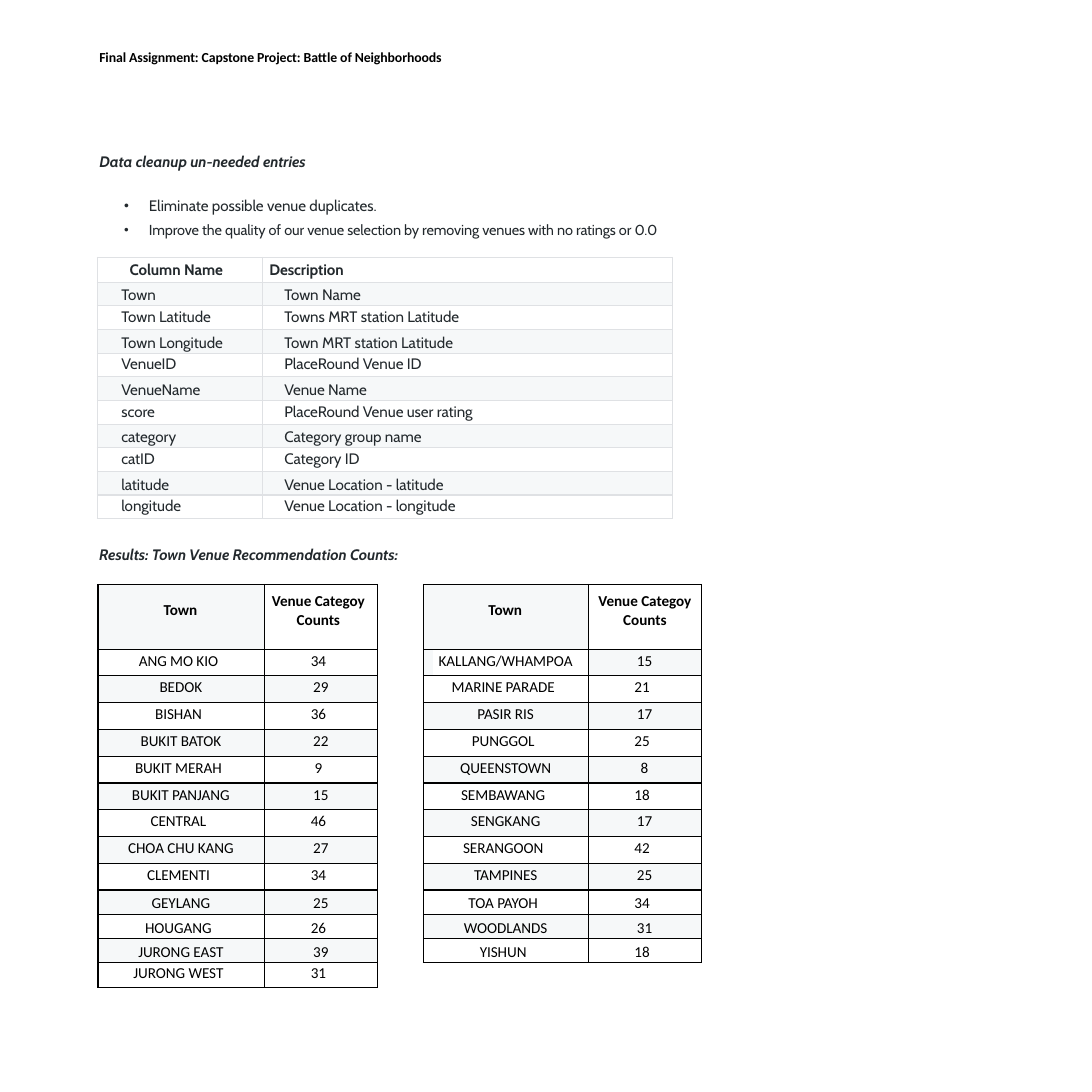
from lxml.etree import SubElement
from pptx import Presentation
from pptx.dml.color import RGBColor
from pptx.enum.text import MSO_ANCHOR, MSO_AUTO_SIZE, PP_ALIGN
from pptx.oxml.ns import qn
from pptx.util import Pt

BLACK = RGBColor(0x00, 0x00, 0x00)
INK = RGBColor(0x23, 0x29, 0x2D)
GRID = RGBColor(0xDF, 0xE1, 0xE4)
BAND = RGBColor(0xF6, 0xF8, 0xF9)
WHITE = RGBColor(0xFF, 0xFF, 0xFF)

HEADER = "Final Assignment: Capstone Project: Battle of Neighborhoods"
CLEANUP_HEADING = "Data cleanup un-needed entries"
CLEANUP_STEPS = [
    ("Eliminate possible venue duplicates.", 11, 18.5),
    ("Improve the quality of our venue selection by removing venues "
     "with no ratings or 0.0", 10.5, 4.7),
]
RESULTS_HEADING = "Results: Town Venue Recommendation Counts:"
COLUMN_DESCRIPTIONS = [
    ("Column Name", "Description"),
    ("Town", "Town Name"),
    ("Town Latitude", "Towns MRT station Latitude"),
    ("Town Longitude", "Town MRT station Latitude"),
    ("VenueID", "PlaceRound Venue ID"),
    ("VenueName", "Venue Name"),
    ("score", "PlaceRound Venue user rating"),
    ("category", "Category group name"),
    ("catID", "Category ID"),
    ("latitude", "Venue Location - latitude"),
    ("longitude", "Venue Location - longitude"),
]
COUNT_HEADINGS = [("Town", "Venue Categoy"), ("", "Counts")]
LEFT_COUNTS = [
    ("ANG MO KIO", 34), ("BEDOK", 29), ("BISHAN", 36), ("BUKIT BATOK", 22),
    ("BUKIT MERAH", 9), ("BUKIT PANJANG", 15), ("CENTRAL", 46),
    ("CHOA CHU KANG", 27), ("CLEMENTI", 34), ("GEYLANG", 25),
    ("HOUGANG", 26), ("JURONG EAST", 39), ("JURONG WEST", 31),
]
RIGHT_COUNTS = [
    ("KALLANG/WHAMPOA", 15), ("MARINE PARADE", 21), ("PASIR RIS", 17),
    ("PUNGGOL", 25), ("QUEENSTOWN", 8), ("SEMBAWANG", 18),
    ("SENGKANG", 17), ("SERANGOON", 42), ("TAMPINES", 25),
    ("TOA PAYOH", 34), ("WOODLANDS", 31), ("YISHUN", 18),
]
TEXT_LEFT = 72
COUNTS_TOP = 423.8
TALL_ROWS = 9
GUTTER = 6.5


def add_run(paragraph, text, size, font, color, bold=False, italic=False):
    run = paragraph.add_run()
    run.text = text
    run.font.size = Pt(size)
    run.font.name = font
    run.font.color.rgb = color
    run.font.bold = bold
    run.font.italic = italic
    run.font._element.set("spc", "-5")


def prepare_frame(shape, top, width, height):
    shape.left, shape.top = Pt(TEXT_LEFT), Pt(top)
    shape.width, shape.height = Pt(width), Pt(height)
    frame = shape.text_frame
    frame.margin_left = frame.margin_right = frame.margin_bottom = 0
    frame.margin_top = Pt(0.9)
    frame.word_wrap = True
    frame.auto_size = MSO_AUTO_SIZE.NONE
    frame.vertical_anchor = MSO_ANCHOR.TOP
    return frame


def set_bullet(paragraph, bullet=None):
    properties = paragraph._p.get_or_add_pPr()
    properties.set("marL", str(Pt(36) if bullet else 0))
    properties.set("indent", str(Pt(-18) if bullet else 0))
    if bullet:
        SubElement(properties, qn("a:buSzPct"), val="91000")
        SubElement(properties, qn("a:buChar"), char=bullet)
    else:
        SubElement(properties, qn("a:buNone"))


def add_grid(slide, left, top, widths, heights):
    table = slide.shapes.add_table(
        len(heights), len(widths), Pt(left), Pt(top),
        Pt(sum(widths)), Pt(sum(heights))).table
    table.first_row = table.horz_banding = False
    for column, width in zip(table.columns, widths):
        column.width = Pt(width)
    for row, height in zip(table.rows, heights):
        row.height = Pt(height)
    return table


def fill_cell(cell, text, font, color, border, banded, margins,
              bold=False, align=PP_ALIGN.LEFT, sides="LRTB"):
    properties = cell._tc.get_or_add_tcPr()
    for side in "LRTB":
        line = SubElement(properties, qn(f"a:ln{side}"), w=str(Pt(1)))
        if side in sides:
            fill = SubElement(line, qn("a:solidFill"))
            SubElement(fill, qn("a:srgbClr"), val=str(border))
        else:
            SubElement(line, qn("a:noFill"))
    cell.fill.solid()
    cell.fill.fore_color.rgb = BAND if banded else WHITE
    left, top, right = margins
    cell.margin_left, cell.margin_top = Pt(left), Pt(top)
    cell.margin_right, cell.margin_bottom = Pt(right), 0
    paragraph = cell.text_frame.paragraphs[0]
    paragraph.alignment = align
    if text:
        add_run(paragraph, text, 11, font, color, bold)
    else:
        SubElement(paragraph._p, qn("a:endParaRPr"), sz="800")
    return paragraph


def add_descriptions(slide):
    heights = [18] + [17.15] * (len(COLUMN_DESCRIPTIONS) - 1)
    table = add_grid(slide, 70.7, 186.7, (119.7, 297.2), heights)
    for row, texts in enumerate(COLUMN_DESCRIPTIONS):
        banded = row % 2 == 1
        indents = (17.3, 15.8) if row else (23.3, 5)
        top = 2.3 if row == 0 else 2.9 if banded else 1.4
        for column, text in enumerate(texts):
            fill_cell(table.cell(row, column), text, "Cabin", INK, GRID,
                      banded, (indents[column], top, 0), bold=row == 0)


def add_counts(slide, left, counts, widths, first_band, heading_shift):
    heights = [20.9, 26.1] + [19.43] * TALL_ROWS
    heights += [17.62] * (len(counts) - TALL_ROWS)
    table = add_grid(slide, left, COUNTS_TOP, widths, heights)
    gutter_columns = len(widths) - 2
    offset = GUTTER * gutter_columns

    def put(row, column, text, banded, top, shift, bold=False, sides="LRTB"):
        return fill_cell(table.cell(row, column), text, "Calibri", BLACK,
                         BLACK, banded, (0, top, shift), bold,
                         PP_ALIGN.CENTER, sides)

    name_sides = "RTB" if gutter_columns else "LRTB"
    for row, (name, heading) in enumerate(COUNT_HEADINGS):
        for column in range(gutter_columns):
            put(row, column, "", True, 0, 0, sides="LTB")
        put(row, gutter_columns, name, True, 0 if row else 12.2,
            1 + offset, True, name_sides)
        paragraph = put(row, gutter_columns + 1, heading, False,
                        0 if row else 5.8, heading_shift, True,
                        "LRB" if row else "LRT")
        if row:
            paragraph.line_spacing = Pt(11.8)
    for column in range(gutter_columns + 1):
        table.cell(0, column).merge(table.cell(1, column))

    for number, (name, count) in enumerate(counts, 1):
        row = number + 1
        banded = number % 2 == first_band
        top = 1.8 if number <= TALL_ROWS else 3.1 if number < 13 else 0.8
        shift = 0.5 if banded else 4
        put(row, gutter_columns + 1, str(count), banded, top, shift)
        if gutter_columns and number == len(counts):
            put(row, 0, name, banded, top, shift)
            put(row, 1, "", banded, 0, 0)
            table.cell(row, 0).merge(table.cell(row, 1))
            continue
        for column in range(gutter_columns):
            put(row, column, "", banded, 0, 0, sides="LTB")
        put(row, gutter_columns, name,
            banded and name != "KALLANG/WHAMPOA", top, shift + offset,
            sides=name_sides)


def main():
    presentation = Presentation()
    presentation.slide_width = presentation.slide_height = Pt(792)
    slide = presentation.slides.add_slide(presentation.slide_layouts[1])

    frame = prepare_frame(slide.shapes.title, 34.6, 255.6, 14)
    paragraph = frame.paragraphs[0]
    paragraph.alignment = PP_ALIGN.LEFT
    add_run(paragraph, HEADER, 10, "Calibri", BLACK, bold=True)

    frame = prepare_frame(slide.placeholders[1], 109.7, 431.3, 63.4)
    paragraph = frame.paragraphs[0]
    paragraph.space_before = Pt(0)
    set_bullet(paragraph)
    add_run(paragraph, CLEANUP_HEADING, 11, "Cabin", INK, True, True)
    for text, size, gap in CLEANUP_STEPS:
        paragraph = frame.add_paragraph()
        paragraph.space_before = Pt(gap)
        set_bullet(paragraph, "•")
        add_run(paragraph, text, size, "Cabin", INK)

    add_descriptions(slide)

    results = slide.shapes.add_textbox(0, 0, 0, 0)
    frame = prepare_frame(results, 394.8, 242.6, 15)
    add_run(frame.paragraphs[0], RESULTS_HEADING, 11, "Cabin", INK, True, True)

    add_counts(slide, 307.2, RIGHT_COUNTS, (GUTTER, 113.1, 82), 1, 0)
    add_counts(slide, 71.1, LEFT_COUNTS, (120.7, 82.3), 0, 4)
    presentation.save("out.pptx")


if __name__ == "__main__":
    main()
